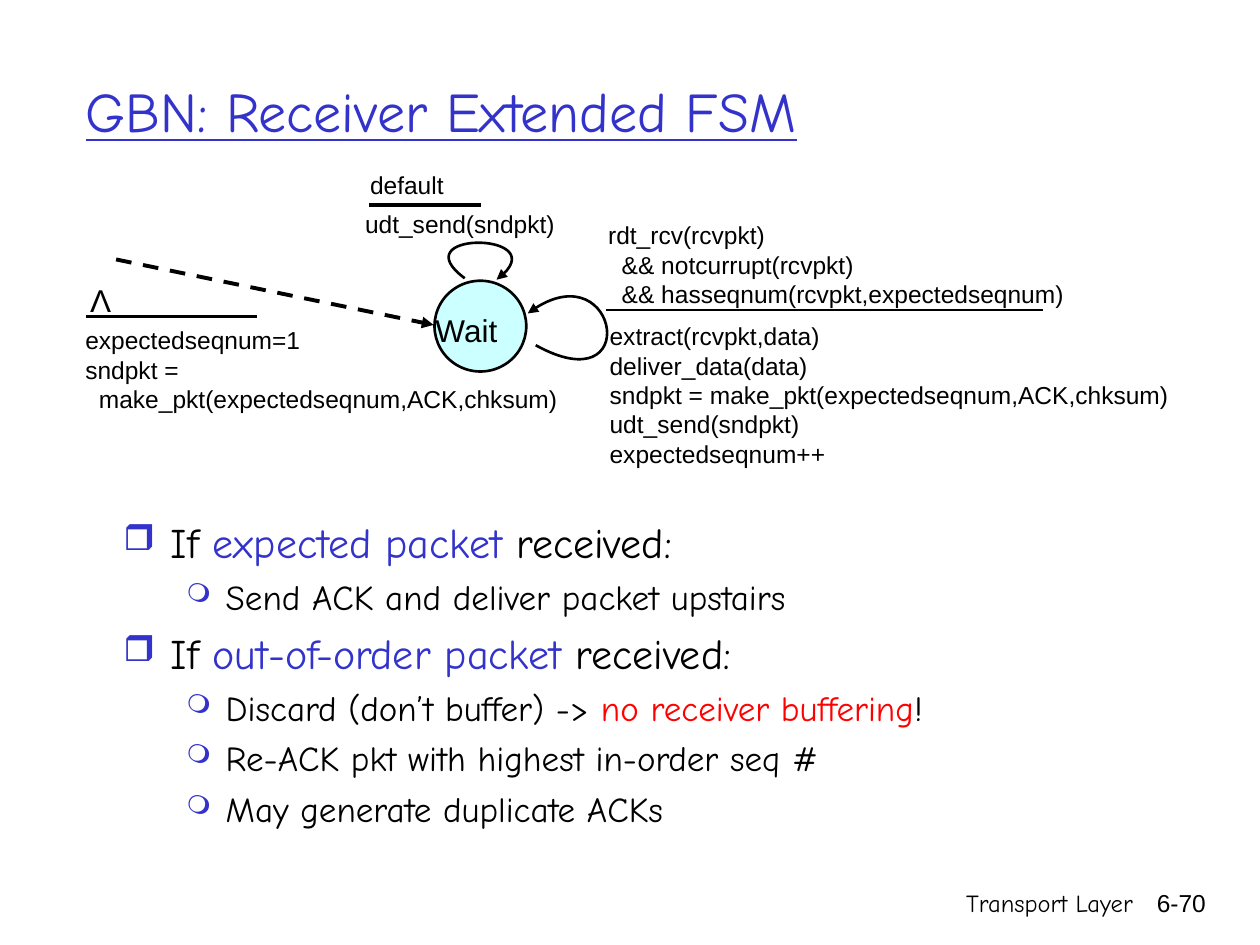
from lxml.etree import SubElement
from pptx import Presentation
from pptx.dml.color import RGBColor
from pptx.enum.dml import MSO_LINE
from pptx.enum.shapes import MSO_CONNECTOR, MSO_SHAPE
from pptx.enum.text import MSO_ANCHOR, PP_ALIGN
from pptx.oxml.ns import qn
from pptx.util import Cm, Pt

BLACK, BLUE, RED, CYAN = "000000", "3333CC", "FF0000", "CCFFFF"
SANS, COMIC = "Arial", "Comic Neue"
BULLETS = [("❒", 85000, 24, 0.95, 0.95), ("❍", 75000, 20, 2.06, 0.79)]

TRANSITION_TEXTS = [
    ((7.11, 4.09, 4.5, 0.86), ["udt_send(sndpkt)"]),
    ((7.21, 3.3, 2.01, 0.69), ["default"]),
    ((12.01, 4.32, 9.91, 1.57),
     ["rdt_rcv(rcvpkt)", "  && notcurrupt(rcvpkt)",
      "  && hasseqnum(rcvpkt,expectedseqnum)"]),
    ((12.04, 6.35, 11.99, 2.39),
     ["extract(rcvpkt,data)", "deliver_data(data)",
      "sndpkt = make_pkt(expectedseqnum,ACK,chksum)",
      "udt_send(sndpkt)", "expectedseqnum++"]),
    ((1.47, 6.43, 10.11, 2.72),
     ["expectedseqnum=1", "sndpkt =", "  make_pkt(expectedseqnum,ACK,chksum)"]),
]
RECEIVER_RULES = [
    (0, [("If ", BLACK), ("expected packet", BLUE), (" received:", BLACK)]),
    (1, [("Send ACK and deliver packet upstairs", BLACK)]),
    (0, [("If ", BLACK), ("out-of-order packet", BLUE), (" received:", BLACK)]),
    (1, [("Discard (don’t buffer) -> ", BLACK), ("no receiver buffering", RED), ("!", BLACK)]),
    (1, [("Re-ACK pkt with highest in-order seq #", BLACK)]),
    (1, [("May generate duplicate ACKs", BLACK)]),
]


def color(value):
    """Turn a hex string into a colour."""
    return RGBColor.from_string(value)


class FsmSlide:
    """Hold the slide and draw each kind of element in its style."""

    def __init__(self, presentation):
        self.slide = presentation.slides.add_slide(presentation.slide_layouts[5])
        self.shapes = self.slide.shapes

    def set_font(self, paragraph, name, size, hex_color=BLACK):
        paragraph.font.name = name
        paragraph.font.size = Pt(size)
        paragraph.font.color.rgb = color(hex_color)

    def title(self, box, text):
        shape = self.shapes.title
        shape.left, shape.top, shape.width, shape.height = map(Cm, box)
        shape.text_frame.vertical_anchor = MSO_ANCHOR.MIDDLE
        paragraph = shape.text_frame.paragraphs[0]
        paragraph.text = text
        paragraph.alignment = PP_ALIGN.LEFT
        self.set_font(paragraph, COMIC, 32, BLUE)
        paragraph.font.underline = True

    def frame(self, box, wrap=True):
        frame = self.shapes.add_textbox(*map(Cm, box)).text_frame
        frame.word_wrap = wrap
        return frame

    def paragraph(self, frame, index):
        return frame.add_paragraph() if index else frame.paragraphs[0]

    def text(self, box, lines, size=14, font=SANS, align=PP_ALIGN.LEFT, wrap=True):
        frame = self.frame(box, wrap)
        for index, line in enumerate(lines):
            paragraph = self.paragraph(frame, index)
            paragraph.text = line
            paragraph.alignment = align
            self.set_font(paragraph, font, size)

    def bullets(self, box, items):
        frame = self.frame(box)
        for index, (level, runs) in enumerate(items):
            character, scale, size, margin, hanging = BULLETS[level]
            paragraph = self.paragraph(frame, index)
            paragraph.level = level
            properties = paragraph._p.get_or_add_pPr()
            properties.set("marL", str(Cm(margin)))
            properties.set("indent", str(-Cm(hanging)))
            bullet_color = SubElement(properties, qn("a:buClr"))
            SubElement(bullet_color, qn("a:srgbClr"), val=BLUE)
            SubElement(properties, qn("a:buSzPct"), val=str(scale))
            SubElement(properties, qn("a:buChar"), char=character)
            if index:
                paragraph.space_before = Pt(0.24 * size)
            paragraph.font.name = COMIC
            paragraph.font.size = Pt(size)
            for text, hex_color in runs:
                run = paragraph.add_run()
                run.text = text
                run.font.color.rgb = color(hex_color)

    def outline(self, shape, width, arrow=False):
        shape.line.color.rgb = color(BLACK)
        shape.line.width = Pt(width)
        if arrow:
            SubElement(shape.element.spPr.find(qn("a:ln")), qn("a:tailEnd"), type="triangle")

    def state(self, box):
        shape = self.shapes.add_shape(MSO_SHAPE.OVAL, *map(Cm, box))
        shape.shadow.inherit = False
        shape.fill.solid()
        shape.fill.fore_color.rgb = color(CYAN)
        self.outline(shape, 1.5)

    def line(self, ends, width=2.25, dashed_arrow=False):
        connector = self.shapes.add_connector(MSO_CONNECTOR.STRAIGHT, *map(Cm, ends))
        self.outline(connector, width, dashed_arrow)
        if dashed_arrow:
            connector.line.dash_style = MSO_LINE.DASH
        SubElement(connector.element.spPr, qn("a:effectLst"))

    def loop(self, start, *controls_and_end):
        builder = self.shapes.build_freeform(*map(Cm, start))
        points = [tuple(map(Cm, point)) for point in controls_and_end]
        builder.add_line_segments(points, close=False)
        shape = builder.convert_to_shape()
        shape.shadow.inherit = False
        shape.fill.background()
        self.outline(shape, 1.5, arrow=True)
        segments = list(shape.element.iter(qn("a:lnTo")))
        curve = SubElement(segments[0].getparent(), qn("a:cubicBezTo"))
        for segment in segments:
            curve.append(segment[0])
            segment.getparent().remove(segment)


def main():
    presentation = Presentation()
    presentation.slide_width, presentation.slide_height = Cm(25.4), Cm(19.05)
    fsm = FsmSlide(presentation)
    fsm.title((1.47, 0.64, 21.59, 3.18), "GBN: Receiver Extended FSM")
    fsm.bullets((2.24, 10.29, 22.63, 7.92), RECEIVER_RULES)
    fsm.state((8.76, 5.66, 1.85, 1.83))
    fsm.text((8.53, 6.15, 2.24, 0.66), ["Wait"], size=18)
    fsm.line((2.34, 5.23, 8.74, 6.55), dashed_arrow=True)
    for box, lines in TRANSITION_TEXTS:
        fsm.text(box, lines)
    fsm.line((7.44, 4.14, 9.7, 4.14))
    fsm.line((12.22, 6.25, 21.03, 6.25), width=1.5)
    fsm.line((1.73, 6.38, 5.18, 6.38))
    fsm.loop((10.8, 6.96), (12.95, 8.15), (12.45, 4.95), (10.64, 6.32))
    fsm.loop((9.37, 5.61), (8.1, 4.67), (11.3, 4.67), (10.01, 5.64))
    fsm.text((1.57, 5.54, 0.89, 0.94), ["Λ"], size=18, wrap=False)
    fsm.text((15.04, 17.78, 8.05, 1.27), ["Transport Layer"], font=COMIC, align=PP_ALIGN.RIGHT)
    fsm.text((22.68, 17.78, 1.88, 1.27), ["6-70"], align=PP_ALIGN.RIGHT)
    presentation.save("out.pptx")


if __name__ == "__main__":
    main()
